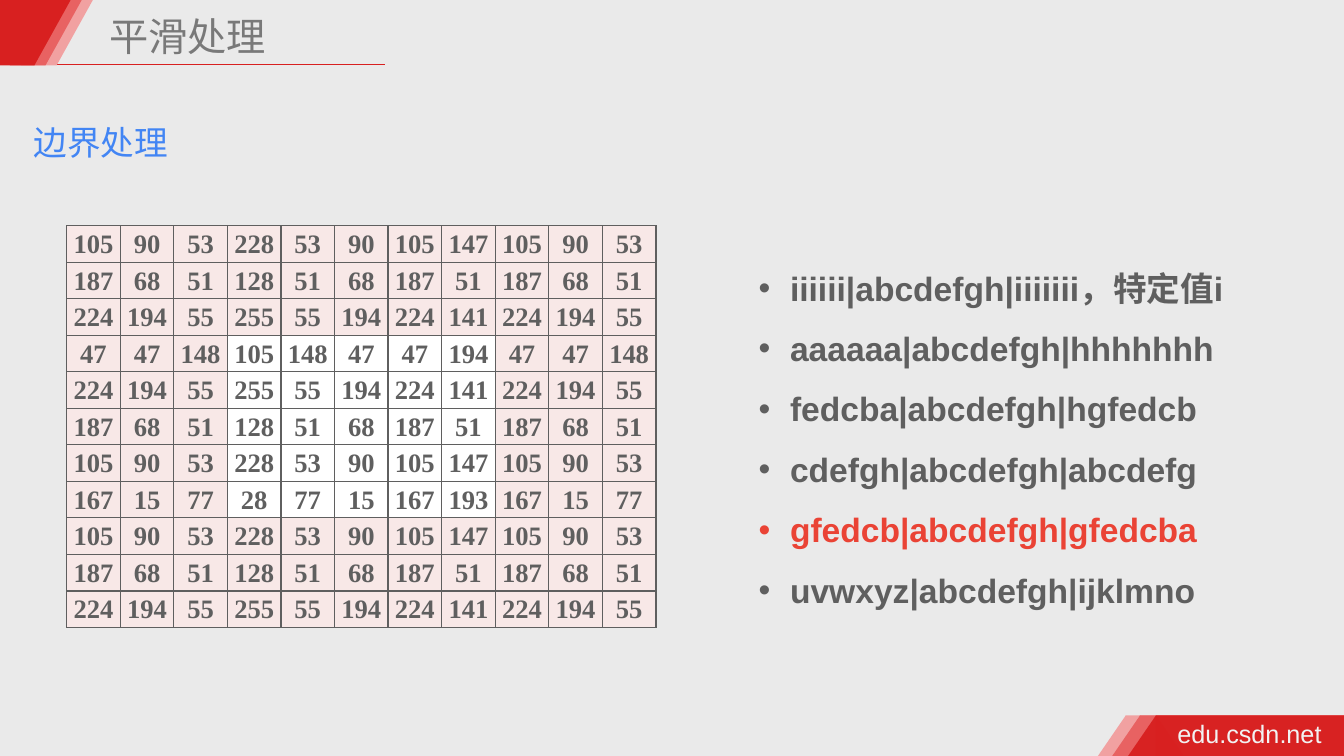
"""Build the slide on border handling in image smoothing."""
from lxml import etree
from pptx import Presentation
from pptx.dml.color import RGBColor
from pptx.enum import shapes, text
from pptx.oxml import ns
from pptx.util import Cm, Pt

TITLE = "平滑处理"
SUBTITLE = "边界处理"
SITE = "edu.csdn.net"
BORDER_MODES = [
    "iiiiii|abcdefgh|iiiiiii，特定值i",
    "aaaaaa|abcdefgh|hhhhhhh",
    "fedcba|abcdefgh|hgfedcb",
    "cdefgh|abcdefgh|abcdefg",
    "gfedcb|abcdefgh|gfedcba",
    "uvwxyz|abcdefgh|ijklmno",
]
CHOSEN_MODE = 4
PIXELS = [
    (105, 148, 47, 47, 194),
    (255, 55, 194, 224, 141),
    (128, 51, 68, 187, 51),
    (228, 53, 90, 105, 147),
    (28, 77, 15, 167, 193),
]
PADDING = 3

BACKGROUND = RGBColor(0xEA, 0xEA, 0xEA)
RED = RGBColor(0xD8, 0x20, 0x20)
MID_RED = RGBColor(0xE8, 0x62, 0x62)
LIGHT_RED = RGBColor(0xF1, 0xA1, 0xA1)
PALE_PINK = RGBColor(0xF8, 0xE8, 0xE7)
WHITE = RGBColor(0xFF, 0xFF, 0xFF)
OFF_WHITE = RGBColor(0xF2, 0xF2, 0xF2)
TITLE_GRAY = RGBColor(0x79, 0x79, 0x79)
TEXT_GRAY = RGBColor(0x5F, 0x5F, 0x5F)
BLUE = RGBColor(0x42, 0x85, 0xF4)
ACCENT = RGBColor(0xEA, 0x43, 0x35)
CHINESE_FONT = "Noto Sans CJK SC"
HEADER_BANDS = [(0.53, LIGHT_RED), (0.25, MID_RED), (-0.03, RED)]
FOOTER_BANDS = [(28.37, LIGHT_RED), (28.73, MID_RED), (29.13, RED)]


def place(shape, left, top, width, height):
    """Move and size a shape, in centimetres."""
    shape.left, shape.top = Cm(left), Cm(top)
    shape.width, shape.height = Cm(width), Cm(height)


def style(para, size, color, name, bold=False):
    """Set the font of a paragraph, for Latin and Chinese letters."""
    font = para.font
    font.size, font.name, font.bold = Pt(size), name, bold
    font.color.rgb = color
    defaults = para._p.pPr.find(ns.qn("a:defRPr"))
    etree.SubElement(defaults, ns.qn("a:ea"), typeface=CHINESE_FONT)


def set_frame(frame, margin_x, margin_y, wrap=True):
    """Set the margins and wrapping of a text frame."""
    frame.margin_left = frame.margin_right = Cm(margin_x)
    frame.margin_top = frame.margin_bottom = Cm(margin_y)
    frame.word_wrap = wrap
    frame.auto_size = text.MSO_AUTO_SIZE.NONE


def add_band_part(page, kind, box, color):
    """Add a plain filled shape."""
    part = page.shapes.add_shape(kind, *map(Cm, box))
    part.shadow.inherit = False
    part.fill.solid()
    part.fill.fore_color.rgb = color
    part.line.fill.background()
    return part


def add_bands(page):
    """Draw the slanted header and footer bands."""
    rectangle = shapes.MSO_SHAPE.RECTANGLE
    triangle = shapes.MSO_SHAPE.ISOSCELES_TRIANGLE
    for left, color in FOOTER_BANDS:
        for kind, box in ((rectangle, (left, 18.03, 33.87 - left, 1.02)),
                          (triangle, (left - 0.7, 18.03, 1.4, 1.02))):
            part = add_band_part(page, kind, box, color)
            if color == RED:
                fill = part._element.spPr.find(ns.qn("a:solidFill"))
                etree.SubElement(fill[0], ns.qn("a:alpha"), val="97000")
    for left, color in HEADER_BANDS:
        add_band_part(page, rectangle, (left, 0, 0.89, 1.65), color)
        slant = add_band_part(page, triangle, (left - 0.02, 0, 1.83, 1.65), color)
        slant.rotation = 180


def add_label(page, box, words, size, color, name, margins, spacing=1.0, wrap=True):
    """Add a one-line text box."""
    label = page.shapes.add_textbox(*map(Cm, box))
    set_frame(label.text_frame, *margins, wrap)
    para = label.text_frame.paragraphs[0]
    para.text = words
    para.line_spacing = spacing
    style(para, size, color, name)


def add_borders(cell):
    """Outline a table cell in gray."""
    properties = cell._tc.get_or_add_tcPr()
    for position, side in enumerate(("lnL", "lnR", "lnT", "lnB")):
        line = etree.Element(ns.qn(f"a:{side}"), w=str(Pt(1)))
        fill = etree.SubElement(line, ns.qn("a:solidFill"))
        etree.SubElement(fill, ns.qn("a:srgbClr"), val=str(TEXT_GRAY))
        properties.insert(position, line)


def add_pixel_table(page):
    """Show the pixels with borders mirrored around the edge pixels."""
    last = len(PIXELS) - 1
    mirrored = [last - abs(last - abs(i)) for i in range(-PADDING, last + PADDING + 1)]
    inner = range(PADDING, PADDING + len(PIXELS))
    count = len(mirrored)
    frame = page.shapes.add_table(count, count, Cm(1.68), Cm(5.69),
                                  Cm(1.35 * count), Cm(0.92 * count))
    table = frame.table
    table.first_row = table.horz_banding = False
    for index in range(count):
        table.columns[index].width = Cm(1.35)
        table.rows[index].height = Cm(0.92)
    for row, source_row in enumerate(mirrored):
        for column, source_column in enumerate(mirrored):
            cell = table.cell(row, column)
            cell.margin_left = cell.margin_right = cell.margin_top = Cm(0.04)
            cell.margin_bottom = 0
            cell.vertical_anchor = text.MSO_ANCHOR.MIDDLE
            cell.fill.solid()
            is_inner = row in inner and column in inner
            cell.fill.fore_color.rgb = WHITE if is_inner else PALE_PINK
            para = cell.text_frame.paragraphs[0]
            para.text = str(PIXELS[source_row][source_column])
            para.alignment = text.PP_ALIGN.CENTER
            style(para, 19, TEXT_GRAY, "Times New Roman", True)
            add_borders(cell)


def fill_placeholders(page):
    """Write the title and the list of border modes."""
    title, body = page.shapes.title, page.placeholders[1]
    place(title, 2.62, 0.3, 11.07, 1.35)
    set_frame(title.text_frame, 0.13, 0.13)
    title.text_frame.vertical_anchor = text.MSO_ANCHOR.MIDDLE
    heading = title.text_frame.paragraphs[0]
    heading.text = TITLE
    heading.alignment = text.PP_ALIGN.LEFT
    heading.line_spacing = 0.9
    style(heading, 28, TITLE_GRAY, CHINESE_FONT)

    place(body, 18.87, 6.1, 13.34, 9.3)
    set_frame(body.text_frame, 0.25, 0.13)
    body.text_frame.text = "\n".join(BORDER_MODES)
    for index, para in enumerate(body.text_frame.paragraphs):
        para.line_spacing = 1.5
        para.space_before = Pt(0)
        properties = para._p.get_or_add_pPr()
        properties.set("marL", str(Cm(0.79)))
        properties.set("indent", str(-Cm(0.79)))
        style(para, 24, ACCENT if index == CHOSEN_MODE else TEXT_GRAY, "Arial", True)


def main():
    """Build and save the deck."""
    deck = Presentation()
    deck.slide_width, deck.slide_height = Cm(33.87), Cm(19.05)
    page = deck.slides.add_slide(deck.slide_layouts[1])
    page.background.fill.solid()
    page.background.fill.fore_color.rgb = BACKGROUND
    rule = page.shapes.add_connector(shapes.MSO_CONNECTOR.STRAIGHT,
                                     Cm(1.24), Cm(1.63), Cm(9.7), Cm(1.63))
    rule.line.color.rgb = RED
    rule.line.width = Pt(1)
    etree.SubElement(rule._element.spPr, ns.qn("a:effectLst"))
    add_bands(page)
    fill_placeholders(page)
    add_label(page, (29.54, 17.98, 3.94, 1.02), SITE, 18, OFF_WHITE, "Arial",
              (0.13, 0.13), wrap=False)
    add_label(page, (0.6, 2.44, 6.99, 1.63), SUBTITLE, 24, BLUE, CHINESE_FONT,
              (0.25, 0.13), spacing=1.5)
    add_pixel_table(page)
    deck.save("out.pptx")


if __name__ == "__main__":
    main()
